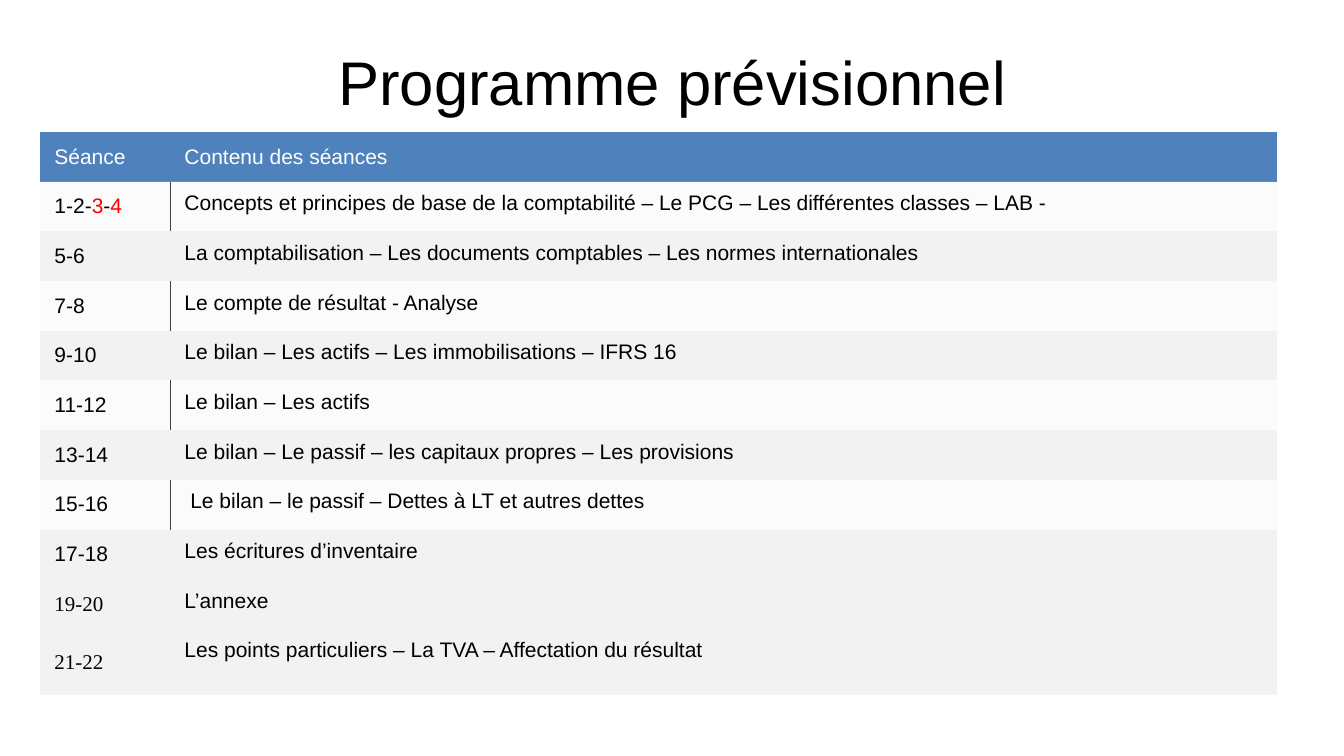
from lxml import etree
from pptx import Presentation
from pptx.dml.color import RGBColor
from pptx.enum.text import MSO_ANCHOR as Anchor, PP_ALIGN as Align
from pptx.oxml.ns import qn
from pptx.util import Inches, Pt

# Content
TITLE = "Programme prévisionnel"
HEADER = ("Séance", "Contenu des séances")
SESSIONS = [
    ("1-2-3-4", "Concepts et principes de base de la comptabilité – Le PCG – Les différentes classes – LAB -"),
    ("5-6", "La comptabilisation – Les documents comptables – Les normes internationales"),
    ("7-8", "Le compte de résultat - Analyse"),
    ("9-10", "Le bilan – Les actifs – Les immobilisations – IFRS 16"),
    ("11-12", "Le bilan – Les actifs"),
    ("13-14", "Le bilan – Le passif – les capitaux propres – Les provisions"),
    ("15-16", " Le bilan – le passif – Dettes à LT et autres dettes"),
    ("17-18", "Les écritures d’inventaire"),
    ("19-20", "L’annexe"),
    ("21-22", "Les points particuliers – La TVA – Affectation du résultat"),
]
RED_SESSIONS = ("3", "4")
SERIF_SESSIONS = ("19-20", "21-22")
LIGHT_SESSIONS = ("1-2-3-4", "7-8", "11-12", "15-16")

# Layout and style
LEFT, TOP = 0.4, 1.31
COLUMN_WIDTHS = (1.29, 10.98)
UPPER_HEIGHT, LAST_ROW_HEIGHT = 4.93, 0.66
BLACK, WHITE, RED = "000000", "FFFFFF", "FF0000"
BLUE, GREY, BORDER = "4F81BD", "F2F2F2", "404040"
NO_STYLE_ID = "{2D5ABB26-0587-4C30-8999-92F81FD0307C}"


def color(value):
    return RGBColor.from_string(value)


def add_run(paragraph, text, size, font_color, font_name="Arial"):
    run = paragraph.add_run()
    run.text = text
    run.font.size = Pt(size)
    run.font.name = font_name
    run.font.color.rgb = color(font_color)


def fill_cell(cell, fill_color, opacity=None):
    cell.fill.solid()
    cell.fill.fore_color.rgb = color(fill_color)
    if opacity is not None:
        fill = cell._tc.tcPr.find(qn("a:solidFill"))
        etree.SubElement(fill[0], qn("a:alpha"), val=str(opacity * 1000))


def add_border(cell, side):
    line = etree.Element(qn("a:ln" + side), w=str(Pt(0.5)))
    fill = etree.SubElement(line, qn("a:solidFill"))
    etree.SubElement(fill, qn("a:srgbClr"), val=BORDER)
    cell._tc.tcPr.insert(0, line)


def start_cell(cell, anchor, alignment):
    cell.margin_left, cell.margin_right = Inches(0.14), Inches(0.08)
    cell.margin_top = cell.margin_bottom = Inches(0.1)
    cell.vertical_anchor = anchor
    paragraph = cell.text_frame.paragraphs[0]
    paragraph.alignment = alignment
    return paragraph


def add_title(slide):
    title = slide.shapes.title
    title.left, title.top = Inches(0.67), Inches(0.3)
    title.width, title.height = Inches(12), Inches(1)
    title.text_frame.vertical_anchor = Anchor.MIDDLE
    paragraph = title.text_frame.paragraphs[0]
    paragraph.alignment = Align.CENTER
    add_run(paragraph, TITLE, 44, BLACK)


def add_programme(slide):
    row_count = len(SESSIONS) + 1
    frame = slide.shapes.add_table(
        row_count, len(HEADER), Inches(LEFT), Inches(TOP),
        Inches(sum(COLUMN_WIDTHS)), Inches(UPPER_HEIGHT + LAST_ROW_HEIGHT))
    table = frame.table
    table.first_row = table.horz_banding = False
    table._tbl.tblPr.find(qn("a:tableStyleId")).text = NO_STYLE_ID
    for column, width in zip(table.columns, COLUMN_WIDTHS):
        column.width = Inches(width)
    for row in table.rows:
        row.height = Inches(UPPER_HEIGHT / len(SESSIONS))
    table.rows[row_count - 1].height = Inches(LAST_ROW_HEIGHT)

    # Header row
    for index, label in enumerate(HEADER):
        cell = table.cell(0, index)
        add_run(start_cell(cell, Anchor.MIDDLE, Align.LEFT), label, 15, WHITE)
        fill_cell(cell, BLUE)

    # Session rows
    for index, (session, topic) in enumerate(SESSIONS, start=1):
        number_cell, topic_cell = table.cell(index, 0), table.cell(index, 1)
        font_name = "Times New Roman" if session in SERIF_SESSIONS else "Arial"
        paragraph = start_cell(number_cell, Anchor.MIDDLE, Align.LEFT)
        if any(part in RED_SESSIONS for part in session.split("-")):
            pieces = ["1-2-", "3", "-", "4"]
        else:
            pieces = [session]
        for piece in pieces:
            add_run(paragraph, piece, 15, RED if piece in RED_SESSIONS else BLACK, font_name)
        add_run(start_cell(topic_cell, Anchor.TOP, Align.JUSTIFY), topic, 15, BLACK)

        light = session in LIGHT_SESSIONS
        for cell, side in ((number_cell, "R"), (topic_cell, "L")):
            fill_cell(cell, GREY, 30 if light else None)
            if light:
                add_border(cell, side)


def main():
    presentation = Presentation()
    presentation.slide_width = Inches(13.33)
    presentation.slide_height = Inches(7.5)
    slide = presentation.slides.add_slide(presentation.slide_layouts[5])
    add_title(slide)
    add_programme(slide)
    presentation.save("out.pptx")


if __name__ == "__main__":
    main()
